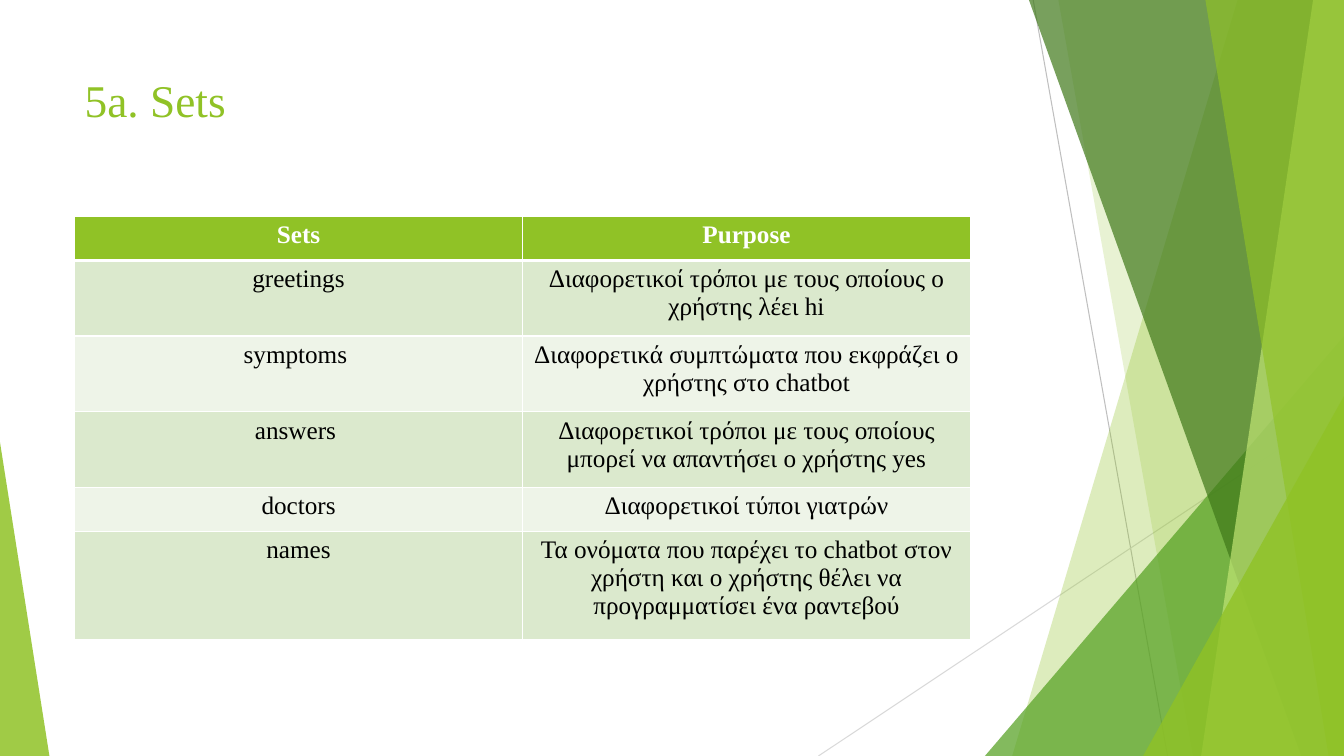
from lxml import etree
from pptx import Presentation
from pptx.dml.color import RGBColor
from pptx.enum.shapes import MSO_CONNECTOR, MSO_SHAPE
from pptx.enum.text import MSO_ANCHOR, PP_ALIGN
from pptx.oxml.ns import qn
from pptx.util import Pt

STRAIGHT = MSO_CONNECTOR.STRAIGHT
TRIANGLE = MSO_SHAPE.ISOSCELES_TRIANGLE
MIDDLE = MSO_ANCHOR.MIDDLE
LEFT, CENTER = PP_ALIGN.LEFT, PP_ALIGN.CENTER

WIDTH, HEIGHT = 960, 540
TITLE_ONLY = 5
FONT = "Times New Roman"
GREEN, WHITE, BLACK = "90C226", "FFFFFF", "000000"
BAND_FILLS = ("EEF4E8", "DBE9CD")

TITLE_FORMAT = {"name": FONT, "size": Pt(32.4), "bold": False}
HEADER_FORMAT = {"name": FONT, "size": Pt(18), "bold": True}
BODY_FORMAT = {"name": FONT, "size": Pt(18), "bold": False}

# Start x, start y, end x, end y, colour
LINES = [
    (738, 0, 834, HEIGHT, "BFBFBF"),
    (WIDTH, 290, 584.6, HEIGHT, "D9D9D9"),
]
# Top left x, bottom left x, colour, opacity; each reaches the right edge
BACK_BANDS = [(884, 723, GREEN, 30), (756, 852, GREEN, 20)]
FRONT_BANDS = [
    (735, 929.5, "3F7819", 70),
    (938, 858, "C0E474", 70),
    (861, 949, GREEN, 65),
]
# Left, top, width, apex position, colour, opacity; each stands on the bottom edge
BACK_TRIANGLE = (703.5, 240, 256.5, 1, "54A021", 72)
FRONT_TRIANGLES = [
    (816.5, 283, 143.5, 1, GREEN, 80),
    (0, 316, 35.3, 0, GREEN, 85),
]

ROWS = [
    ("Sets", "Purpose"),
    ("greetings", "Διαφορετικοί τρόποι με τους οποίους ο χρήστης λέει hi"),
    ("symptoms ", "Διαφορετικά συμπτώματα που εκφράζει ο χρήστης στο chatbot"),
    ("answers ", "Διαφορετικοί τρόποι με τους οποίους μπορεί να απαντήσει ο χρήστης yes"),
    ("doctors", "Διαφορετικοί τύποι γιατρών"),
    ("names", "Τα ονόματα που παρέχει το chatbot στον χρήστη και ο χρήστης "
              "θέλει να προγραμματίσει ένα ραντεβού"),
]
ROW_HEIGHTS = (31.6, 54, 54, 54, 31.6, 77)
COLUMN_WIDTH = 320


def color(value):
    return RGBColor.from_string(value)


def format_text(text_frame, text, values, text_color, alignment):
    paragraph = text_frame.paragraphs[0]
    paragraph.alignment = alignment
    run = paragraph.add_run()
    run.text = text
    for name, value in values.items():
        setattr(run.font, name, value)
    run.font.color.rgb = color(text_color)


def paint(shape, fill_color, opacity):
    shape.shadow.inherit = False
    shape.fill.solid()
    shape.fill.fore_color.rgb = color(fill_color)
    shape.line.fill.background()
    solid = shape.element.spPr.find(qn("a:solidFill"))
    etree.SubElement(solid[0], qn("a:alpha"), val=str(opacity * 1000))


def add_line(slide, start_x, start_y, end_x, end_y, line_color):
    line = slide.shapes.add_connector(
        STRAIGHT, Pt(start_x), Pt(start_y), Pt(end_x), Pt(end_y))
    line.line.color.rgb = color(line_color)
    line.line.width = Pt(0.75)
    etree.SubElement(line.element.spPr, qn("a:effectLst"))


def add_band(slide, top_x, bottom_x, fill_color, opacity):
    builder = slide.shapes.build_freeform(Pt(top_x), Pt(0))
    corners = [(WIDTH, 0), (WIDTH, HEIGHT), (bottom_x, HEIGHT)]
    builder.add_line_segments([(Pt(x), Pt(y)) for x, y in corners], close=True)
    paint(builder.convert_to_shape(), fill_color, opacity)


def add_triangle(slide, left, top, width, apex, fill_color, opacity):
    shape = slide.shapes.add_shape(
        TRIANGLE, Pt(left), Pt(top), Pt(width), Pt(HEIGHT - top))
    shape.adjustments[0] = apex
    paint(shape, fill_color, opacity)


def add_decoration(slide):
    for line in LINES:
        add_line(slide, *line)
    for band in BACK_BANDS:
        add_band(slide, *band)
    add_triangle(slide, *BACK_TRIANGLE)
    for band in FRONT_BANDS:
        add_band(slide, *band)
    for triangle in FRONT_TRIANGLES:
        add_triangle(slide, *triangle)


def set_title(slide, text):
    title = slide.shapes.title
    title.left, title.top, title.width, title.height = Pt(53.3), Pt(48.2), Pt(677), Pt(46)
    title.text_frame.vertical_anchor = MIDDLE
    title.text_frame.word_wrap = True
    format_text(title.text_frame, text, TITLE_FORMAT, GREEN, LEFT)


def set_borders(cell, widths):
    properties = cell._tc.get_or_add_tcPr()
    for side, width in widths.items():
        border = etree.SubElement(properties, qn(f"a:ln{side}"), w=str(Pt(width)))
        solid = etree.SubElement(border, qn("a:solidFill"))
        etree.SubElement(solid, qn("a:srgbClr"), val=WHITE)


def add_sets_table(slide):
    table = slide.shapes.add_table(
        len(ROWS), 2, Pt(53.3), Pt(154.4), Pt(2 * COLUMN_WIDTH), Pt(sum(ROW_HEIGHTS))).table
    for column in table.columns:
        column.width = Pt(COLUMN_WIDTH)
    for row_index, (texts, height) in enumerate(zip(ROWS, ROW_HEIGHTS)):
        table.rows[row_index].height = Pt(height)
        is_header = row_index == 0
        # The rule under the header is thicker than the others
        widths = {"L": 1, "R": 1, "T": 3 if row_index == 1 else 1, "B": 3 if is_header else 1}
        for column_index, text in enumerate(texts):
            cell = table.cell(row_index, column_index)
            set_borders(cell, widths)
            cell.fill.solid()
            cell.fill.fore_color.rgb = color(GREEN if is_header else BAND_FILLS[row_index % 2])
            format_text(cell.text_frame, text, HEADER_FORMAT if is_header else BODY_FORMAT,
                        WHITE if is_header else BLACK, CENTER)


def main():
    presentation = Presentation()
    presentation.slide_width, presentation.slide_height = Pt(WIDTH), Pt(HEIGHT)
    slide = presentation.slides.add_slide(presentation.slide_layouts[TITLE_ONLY])
    add_decoration(slide)
    set_title(slide, "5a. Sets")
    add_sets_table(slide)
    presentation.save("out.pptx")


if __name__ == "__main__":
    main()
